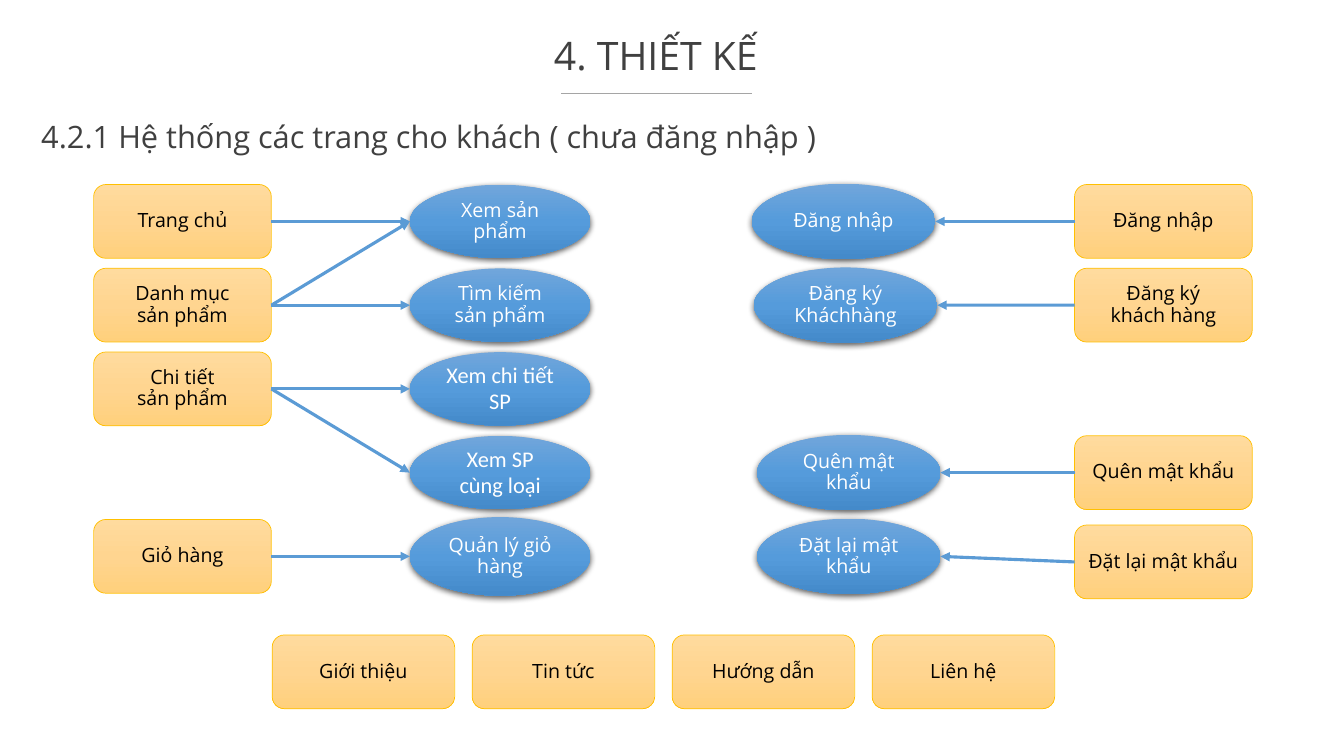
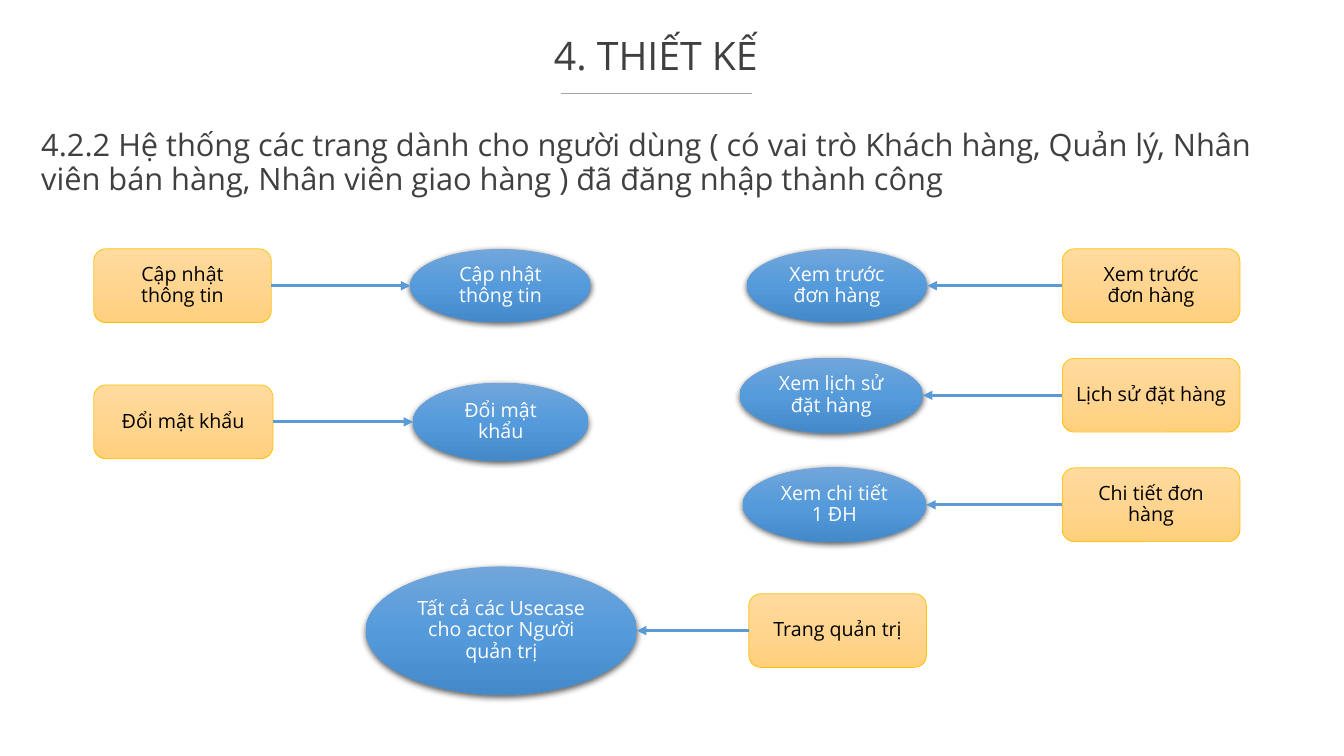
from dataclasses import dataclass

from lxml import etree
from pptx import Presentation
from pptx.dml.color import RGBColor
from pptx.enum.shapes import MSO_CONNECTOR, MSO_SHAPE
from pptx.enum.text import MSO_ANCHOR, PP_ALIGN
from pptx.oxml.ns import qn
from pptx.util import Cm, Pt

ROUND, OVAL = MSO_SHAPE.ROUNDED_RECTANGLE, MSO_SHAPE.OVAL
LINE = MSO_CONNECTOR.STRAIGHT
MIDDLE = MSO_ANCHOR.MIDDLE
LEFT, CENTER = PP_ALIGN.LEFT, PP_ALIGN.CENTER
SIDE_LEFT, SIDE_RIGHT = 1, 3


@dataclass(frozen=True)
class Font:
    name: str
    size: int
    color: str
    space: float = 0.9


@dataclass(frozen=True)
class Theme:
    title: Font = Font("Open Sans", 28, "404040")
    head: Font = Font("Open Sans", 22, "404040")
    page: Font = Font("Open Sans", 14, "000000")
    case: Font = Font("Open Sans", 14, "FFFFFF")
    alt: Font = Font("Calibri", 16, "FFFFFF", 0.95)
    gold: tuple = ("FFDB9E", "FFD590", "FFD07C")
    blue: tuple = ("71A6DB", "559BDB", "448ACA")
    edge: str = "FFC000"
    arrow: str = "5B9BD5"
    rule: str = "A5A5A5"


THEME = Theme()


def rgb(code):
    return RGBColor.from_string(code)


def sub(parent, tag, **attrs):
    return etree.SubElement(parent, qn(tag), attrs)


def put_text(shape, text, font, align=CENTER):
    frame = shape.text_frame
    frame.word_wrap = True
    frame.vertical_anchor = MIDDLE
    frame.text = text
    for para in frame.paragraphs:
        para.alignment = align
        para.line_spacing = font.space
        for run in para.runs:
            run.font.name = font.name
            run.font.size = Pt(font.size)
            run.font.color.rgb = rgb(font.color)


def add_label(slide, text, x, y, w, font, align):
    box = slide.shapes.add_textbox(Cm(x), Cm(y), Cm(w), Cm(1.75))
    put_text(box, text, font, align)


def add_line(slide, start, end, color, width):
    line = slide.shapes.add_connector(LINE, *start, *end)
    line.line.color.rgb = rgb(color)
    line.line.width = Pt(width)
    sub(line._element.spPr, "a:effectLst")
    return line


def add_node(slide, kind, text, x, mid, w, h, font, tones):
    """Add a shape with a downward gradient, centred vertically on mid."""
    node = slide.shapes.add_shape(kind, Cm(x), Cm(mid - h / 2), Cm(w), Cm(h))
    grad = sub(node._element.spPr, "a:gradFill", rotWithShape="1")
    stops = sub(grad, "a:gsLst")
    for i, tone in enumerate(tones):
        stop = sub(stops, "a:gs", pos=str(i * 50000))
        sub(stop, "a:srgbClr", val=tone)
    sub(grad, "a:lin", ang="5400000", scaled="0")
    node.shadow.inherit = False
    put_text(node, text, font)
    return node


def add_page(slide, text, x, mid, w=4.48):
    node = add_node(slide, ROUND, text, x, mid, w, 1.86, THEME.page, THEME.gold)
    node.line.color.rgb = rgb(THEME.edge)
    node.line.width = Pt(0.5)
    return node


def add_case(slide, text, x, mid, w=4.55, h=1.85, font=THEME.case):
    node = add_node(slide, OVAL, text, x, mid, w, h, font, THEME.blue)
    node.line.fill.background()
    glow = sub(node._element.spPr.find(qn("a:effectLst")), "a:outerShdw",
               blurRad="57150", dist="19050", dir="5400000",
               algn="ctr", rotWithShape="0")
    sub(sub(glow, "a:srgbClr", val="000000"), "a:alpha", val="63000")
    return node


def add_arrow(slide, page, case):
    """Point from the page to the near side of the use case."""
    ahead = page.left < case.left
    start = (page.left, page.top + page.height // 2)
    tip = (case.left if ahead else case.left + case.width,
           case.top + case.height // 2)
    line = add_line(slide, start, tip, THEME.arrow, 2.25)
    line.begin_connect(page, SIDE_RIGHT if ahead else SIDE_LEFT)
    sub(line.line._get_or_add_ln(), "a:tailEnd", type="triangle")


def add_pair(slide, page, case):
    add_arrow(slide, add_page(slide, *page), add_case(slide, *case))


def new_slide(deck, head, y, w):
    slide = deck.slides.add_slide(deck.slide_layouts[6])
    add_label(slide, "4. THIẾT KẾ", 1.8, 0.58, 29.46, THEME.title, CENTER)
    add_line(slide, (Cm(14.15), Cm(2.34)), (Cm(18.95), Cm(2.34)),
             THEME.rule, 0.5)
    add_label(slide, head, 0.79, y, w, THEME.head, LEFT)
    return slide


def guest_slide(deck):
    slide = new_slide(
        deck, "4.2.1 Hệ thống các trang cho khách ( chưa đăng nhập )",
        2.62, 23.88)
    rows = [5.58 + 2.11 * i for i in range(5)]
    near, mid, far = 2.36, 10.33, 27.08

    home = add_page(slide, "Trang chủ", near, rows[0])
    group = add_page(slide, "Danh mục\nsản phẩm", near, rows[1])
    item = add_page(slide, "Chi tiết\nsản phẩm", near, rows[2])
    view = add_case(slide, "Xem sản phẩm", mid, rows[0])
    find = add_case(slide, "Tìm kiếm sản phẩm", mid, rows[1])
    more = add_case(slide, "Xem chi tiết SP", mid, rows[2], font=THEME.alt)
    kin = add_case(slide, "Xem SP cùng loại", mid, rows[3], font=THEME.alt)
    for page, case in ((home, view), (group, view), (group, find),
                       (item, more), (item, kin)):
        add_arrow(slide, page, case)
    add_pair(slide, ("Giỏ hàng", near, rows[4]),
             ("Quản lý giỏ hàng", mid, rows[4], 4.55, 1.98))

    for page, case, x, row, drop in (
            ("Đăng nhập", "Đăng nhập", 18.95, 0, 0),
            ("Đăng ký\nkhách hàng", "Đăng ký\nKháchhàng", 19, 1, 0),
            ("Quên mật khẩu", "Quên mật khẩu", 19.08, 3, 0),
            ("Đặt lại mật khẩu", "Đặt lại mật khẩu", 19.08, 4, 0.14)):
        add_pair(slide, (page, far, rows[row] + drop),
                 (case, x, rows[row], 4.62, 1.9))

    for i, text in enumerate(("Giới thiệu", "Tin tức", "Hướng dẫn", "Liên hệ")):
        add_page(slide, text, 6.86 + 5.04 * i, 16.93, 4.6)


def user_slide(deck):
    slide = new_slide(
        deck, "4.2.2 Hệ thống các trang dành cho người dùng ( có vai trò "
        "Khách hàng, Quản lý, Nhân viên bán hàng, Nhân viên giao hàng ) "
        "đã đăng nhập thành công", 3.25, 32.36)
    rows = [7.2 + 2.76 * i for i in range(3)]
    near, far = 2.36, 26.77
    for page, case in (
            (("Cập nhật\nthông tin", near, rows[0]),
             ("Cập nhật thông tin", 10.34, rows[0])),
            (("Đổi mật khẩu", near, 10.63, 4.52),
             ("Đổi mật khẩu", 10.41, 10.63, 4.42, 1.98)),
            (("Xem trước\nđơn hàng", far, rows[0]),
             ("Xem trước đơn hàng", 18.82, rows[0])),
            (("Lịch sử đặt hàng", far, rows[1]),
             ("Xem lịch sử đặt hàng", 18.64, rows[1], 4.62, 1.9)),
            (("Chi tiết đơn hàng", far, rows[2]),
             ("Xem chi tiết 1 ĐH", 18.72, rows[2], 4.62, 1.9)),
            (("Trang quản trị", 18.87, 15.89),
             ("Tất cả các Usecase cho actor Người quản trị",
              9.22, 15.89, 6.83, 3.23))):
        add_pair(slide, page, case)


def main():
    deck = Presentation()
    deck.slide_width, deck.slide_height = Cm(33.87), Cm(19.05)
    guest_slide(deck)
    user_slide(deck)
    deck.save("out.pptx")


if __name__ == "__main__":
    main()
